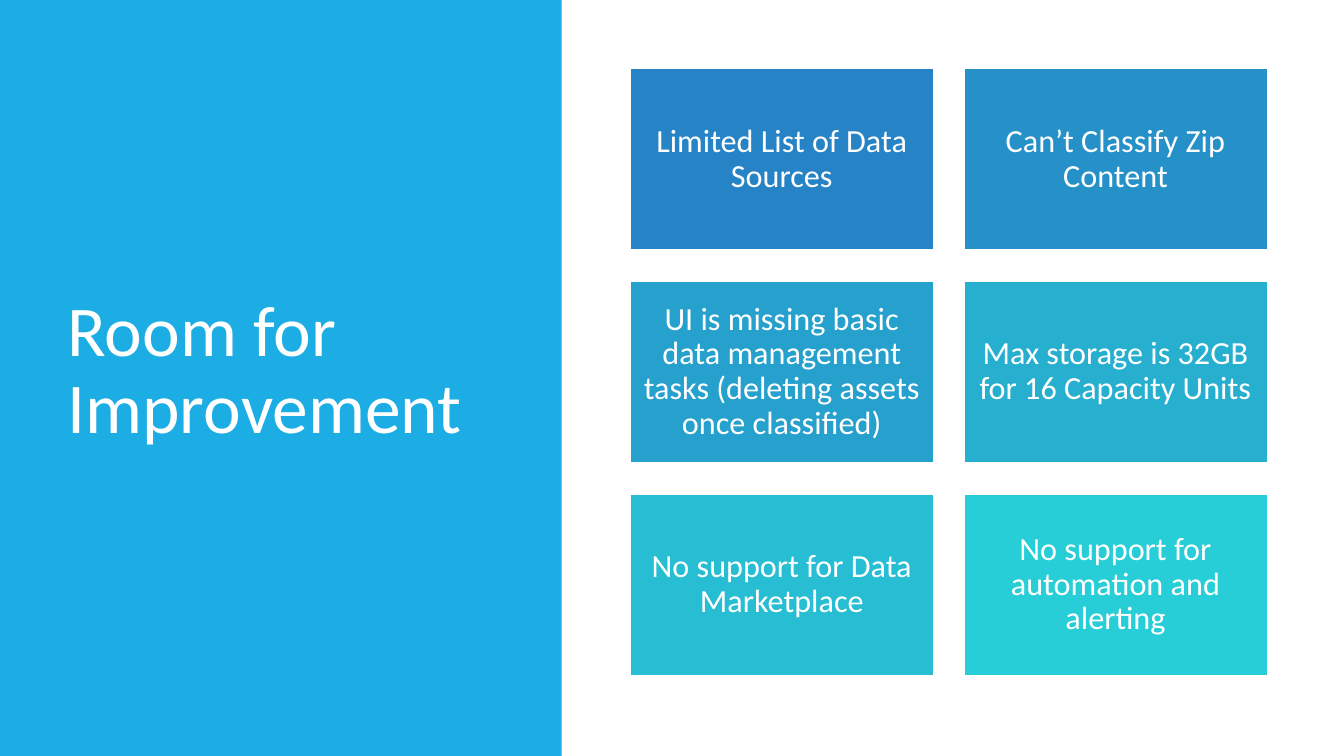
from dataclasses import dataclass

from pptx import Presentation
from pptx.dml.color import RGBColor
from pptx.enum.shapes import MSO_SHAPE
from pptx.enum.text import MSO_ANCHOR, MSO_AUTO_SIZE, PP_ALIGN
from pptx.shapes.autoshape import Shape
from pptx.slide import Slide
from pptx.util import Inches, Pt


@dataclass(frozen=True)
class Theme:
    font: str = "Calibri"
    white: str = "FFFFFF"
    panel: str = "1CADE4"
    title_size: int = 51
    card_size: int = 23


@dataclass(frozen=True)
class Box:
    left: float
    top: float
    width: float
    height: float


@dataclass(frozen=True)
class Card:
    text: str
    fill: str


THEME = Theme()
PANEL = Box(0, 0, 5.57, 7.5)
TITLE = Box(0.57, 0.68, 4.16, 6.02)
FIRST_CARD = Box(6.25, 0.68, 3.01, 1.8)
COLUMNS = 2
COLUMN_STEP = 3.31
ROW_STEP = 2.11
CARDS = [
    Card("Limited List of Data Sources", "2683C6"),
    Card("Can’t Classify Zip Content", "2691C9"),
    Card("UI is missing basic data management tasks (deleting assets once classified)", "26A0CD"),
    Card("Max storage is 32GB for 16 Capacity Units", "27AFD0"),
    Card("No support for Data Marketplace", "27BED4"),
    Card("No support for automation and alerting", "27CED7"),
]


def add_rectangle(slide: Slide, box: Box, fill: str) -> Shape:
    shape = slide.shapes.add_shape(
        MSO_SHAPE.RECTANGLE,
        Inches(box.left), Inches(box.top), Inches(box.width), Inches(box.height),
    )
    shape.shadow.inherit = False
    shape.fill.solid()
    shape.fill.fore_color.rgb = RGBColor.from_string(fill)
    shape.line.fill.background()
    return shape


def write_text(shape: Shape, text: str, size: int, alignment: PP_ALIGN) -> None:
    frame = shape.text_frame
    frame.word_wrap = True
    frame.auto_size = MSO_AUTO_SIZE.NONE
    frame.vertical_anchor = MSO_ANCHOR.MIDDLE
    paragraph = frame.paragraphs[0]
    paragraph.alignment = alignment
    paragraph.line_spacing = 0.9
    run = paragraph.add_run()
    run.text = text
    run.font.name = THEME.font
    run.font.size = Pt(size)
    run.font.color.rgb = RGBColor.from_string(THEME.white)


def add_title_panel(slide: Slide, text: str) -> None:
    """Fill the left side and set the title in front of it."""
    title = slide.shapes.title
    title.left, title.top = Inches(TITLE.left), Inches(TITLE.top)
    title.width, title.height = Inches(TITLE.width), Inches(TITLE.height)
    write_text(title, text, THEME.title_size, PP_ALIGN.LEFT)
    panel = add_rectangle(slide, PANEL, THEME.panel)
    title.element.addprevious(panel.element)


def add_card(slide: Slide, card: Card, index: int) -> None:
    row, column = divmod(index, COLUMNS)
    box = Box(
        FIRST_CARD.left + column * COLUMN_STEP,
        FIRST_CARD.top + row * ROW_STEP,
        FIRST_CARD.width,
        FIRST_CARD.height,
    )
    shape = add_rectangle(slide, box, card.fill)
    shape.line.color.rgb = RGBColor.from_string(THEME.white)
    shape.line.width = Pt(1)
    frame = shape.text_frame
    frame.margin_left = frame.margin_right = Inches(0.1)
    frame.margin_top = frame.margin_bottom = Inches(0.1)
    write_text(shape, card.text, THEME.card_size, PP_ALIGN.CENTER)


def main() -> None:
    presentation = Presentation()
    presentation.slide_width = Inches(13.33)
    presentation.slide_height = Inches(7.5)
    title_only = presentation.slide_layouts.get_by_name("Title Only")
    slide = presentation.slides.add_slide(title_only)
    add_title_panel(slide, "Room for Improvement")
    for index, card in enumerate(CARDS):
        add_card(slide, card, index)
    presentation.save("out.pptx")


if __name__ == "__main__":
    main()
